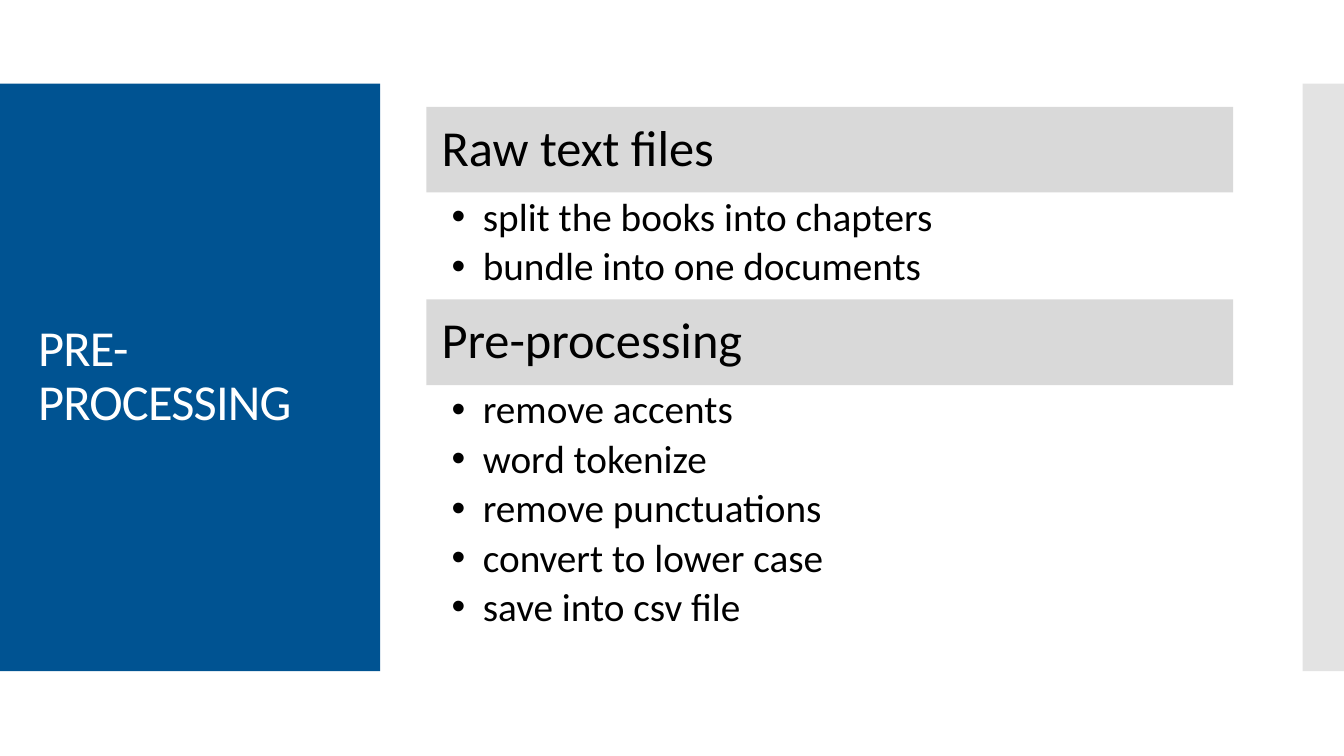
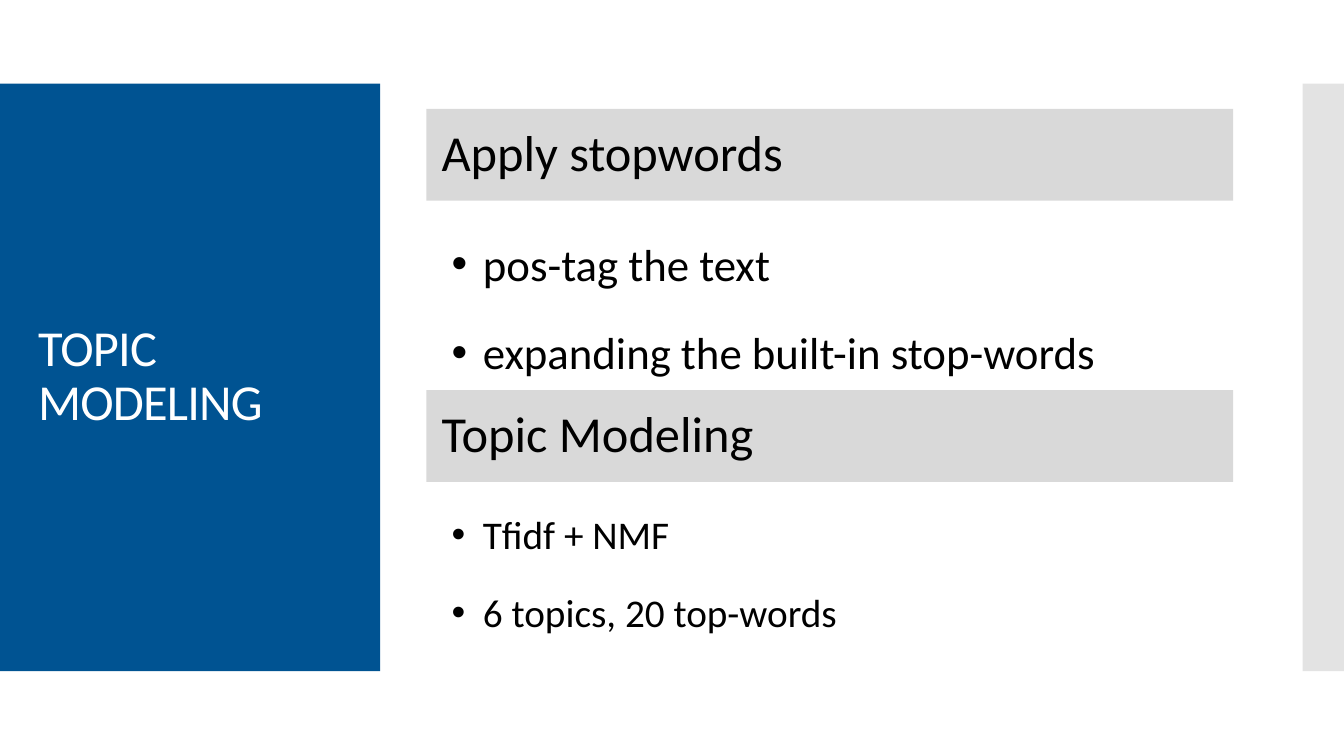
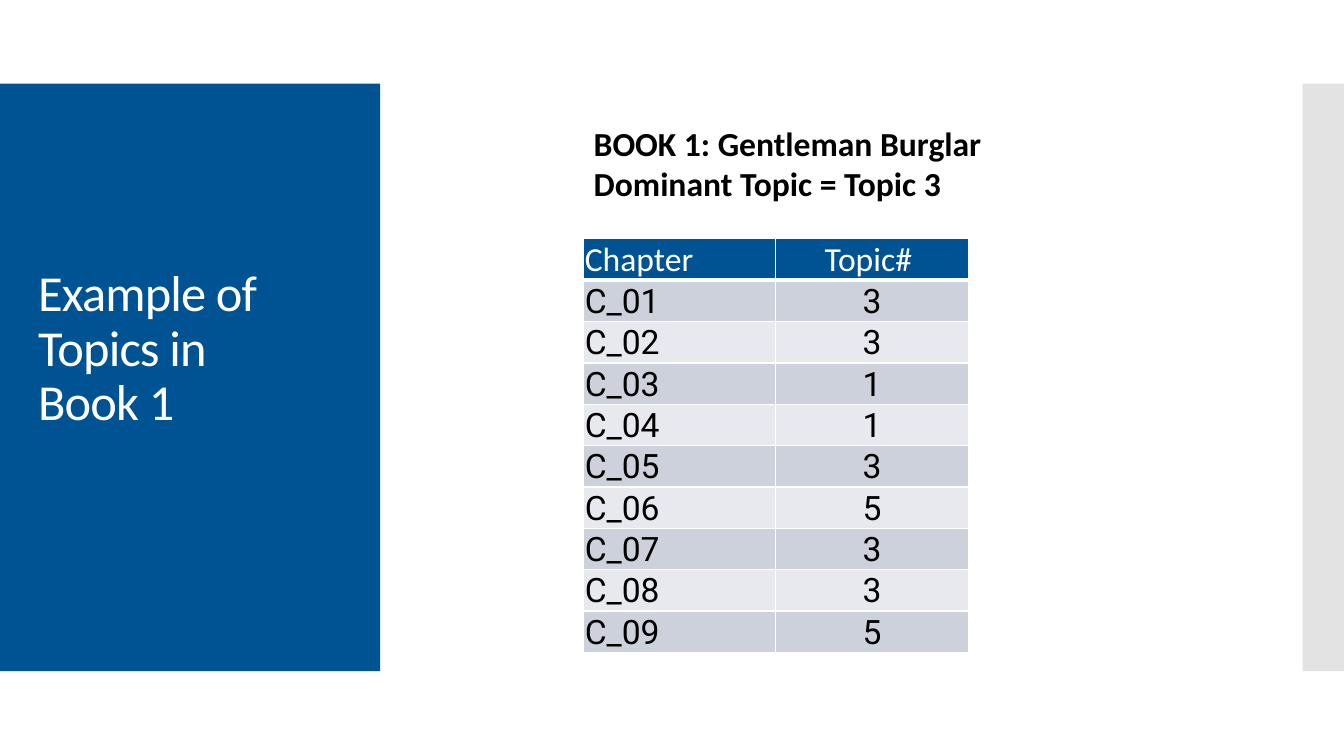
from dataclasses import dataclass

from lxml import etree
from pptx import Presentation
from pptx.dml.color import RGBColor
from pptx.enum import shapes, text
from pptx.oxml import ns
from pptx.util import Inches, Pt


@dataclass(frozen=True)
class Theme:
    blue: str = "005392"
    edge: str = "C8C8C8"
    heading_fill: str = "D9D9D9"
    row_fills: tuple = ("E7E9EE", "CCD1DC")
    white: str = "FFFFFF"
    black: str = "000000"
    font: str = "Calibri"
    table_font: str = "Roboto"
    title_size: int = 36
    heading_size: int = 36
    bullet_size: int = 28
    large_bullet_size: int = 32
    table_size: int = 24


THEME = Theme()
MIDDLE = text.MSO_ANCHOR.MIDDLE
CONTENT_LEFT, CONTENT_WIDTH = 4.23, 8


def set_all(target, values):
    for name, value in values.items():
        setattr(target, name, value)


def add_child(parent, tag, **attributes):
    return etree.SubElement(parent, ns.qn(tag), attributes)


class Deck:
    def __init__(self, theme):
        self.theme = theme
        self.prs = Presentation()
        set_all(self.prs, {"slide_width": Inches(13.33), "slide_height": Inches(7.5)})
        self.slide = None

    def new_slide(self, title, bottom_inset=0.05):
        """Start a slide with its side bands and title."""
        self.slide = self.prs.slides.add_slide(self.prs.slide_layouts[6])
        self.band(0, 0.83, 3.77, 5.83, self.theme.blue)
        self.band(12.92, 0.83, 0.42, 5.83, self.theme.edge, opacity=50)
        box = self.text_box(0.28, 1.23, 3.22, 5.03, (0.1, 0.05, 0.1, bottom_inset))
        box.vertical_anchor = MIDDLE
        self.fill_text(box, [title], self.theme.title_size, self.theme.white,
                       line_spacing=0.9)
        for run in box.paragraphs[0].runs:
            run.font._element.set("spc", "-60")

    def band(self, left, top, width, height, color, opacity=100):
        band = self.slide.shapes.add_shape(
            shapes.MSO_SHAPE.RECTANGLE,
            Inches(left), Inches(top), Inches(width), Inches(height))
        band.shadow.inherit = False
        band.fill.solid()
        band.fill.fore_color.rgb = RGBColor.from_string(color)
        band.line.fill.background()
        if opacity < 100:
            tint = band._element.spPr.find(".//" + ns.qn("a:srgbClr"))
            add_child(tint, "a:alpha", val=str(opacity * 1000))
        return band

    def frame(self, frame, insets):
        sides = ("margin_left", "margin_top", "margin_right", "margin_bottom")
        set_all(frame, dict(zip(sides, map(Inches, insets))))
        frame.word_wrap = True
        return frame

    def text_box(self, left, top, width, height, insets=(0.1, 0.05, 0.1, 0.05)):
        box = self.slide.shapes.add_textbox(
            Inches(left), Inches(top), Inches(width), Inches(height))
        return self.frame(box.text_frame, insets)

    def fill_text(self, frame, lines, size, color, font=None, bold=False,
                  **paragraph_format):
        for index, line in enumerate(lines):
            paragraph = frame.paragraphs[0] if index == 0 else frame.add_paragraph()
            paragraph.text = line
            set_all(paragraph, {"alignment": text.PP_ALIGN.LEFT, **paragraph_format})
            for run in paragraph.runs:
                set_all(run.font, {"name": font or self.theme.font,
                                   "size": Pt(size), "bold": bold})
                run.font.color.rgb = RGBColor.from_string(color)

    def heading(self, wording, top, height):
        bar = self.band(CONTENT_LEFT, top, CONTENT_WIDTH, height, self.theme.heading_fill)
        frame = self.frame(bar.text_frame, (0.15,) * 4)
        frame.vertical_anchor = MIDDLE
        self.fill_text(frame, [wording], self.theme.heading_size, self.theme.black,
                       line_spacing=0.9)

    def bullets(self, items, top, height, size, line_spacing):
        frame = self.text_box(CONTENT_LEFT, top, CONTENT_WIDTH, height,
                              (0.25, 0.05, 0.25, 0.05))
        self.fill_text(frame, items, size, self.theme.black, level=1,
                       line_spacing=line_spacing, space_after=Pt(size * 0.18))
        indent = Inches(0.31)
        for paragraph in frame.paragraphs:
            properties = paragraph._p.get_or_add_pPr()
            properties.set("marL", str(indent))
            properties.set("indent", str(-indent))
            add_child(properties, "a:buFont", typeface="Arial")
            add_child(properties, "a:buChar", char="•")

    def sections(self, top, heading_height, line_spacing, sections):
        """Stack headings and their bullets; each section gives its gap and body height."""
        for wording, items, gap, body_height, size in sections:
            self.heading(wording, top, heading_height)
            top += heading_height + gap
            self.bullets(items, top, body_height, size, line_spacing)
            top += body_height

    def table(self, rows, left, top, widths, height):
        table = self.slide.shapes.add_table(
            len(rows), len(widths), Inches(left), Inches(top),
            Inches(sum(widths)), Inches(height)).table
        for column, width in zip(table.columns, widths):
            column.width = Inches(width)
        for r, row in enumerate(rows):
            for c, wording in enumerate(row):
                self.cell(table.cell(r, c), wording, r, centred=c > 0)

    def cell(self, cell, wording, row, centred):
        theme = self.theme
        header = row == 0
        insets = ("margin_left", "margin_top", "margin_right")
        set_all(cell, {**dict.fromkeys(insets, Inches(0.01)), "margin_bottom": 0,
                       "vertical_anchor": text.MSO_ANCHOR.BOTTOM})
        align = text.PP_ALIGN.CENTER if centred else text.PP_ALIGN.LEFT
        self.fill_text(cell.text_frame, [wording], theme.table_size,
                       theme.white if header else theme.black,
                       theme.font if header else theme.table_font, alignment=align)
        cell.fill.solid()
        fill = theme.blue if header else theme.row_fills[row % 2]
        cell.fill.fore_color.rgb = RGBColor.from_string(fill)
        properties = cell._tc.get_or_add_tcPr()
        borders = {"L": 1, "R": 1, "T": 3 if row == 1 else 1, "B": 3 if header else 1}
        for position, (side, width) in enumerate(borders.items()):
            line = add_child(properties, f"a:ln{side}", w=str(Pt(width)))
            add_child(add_child(line, "a:solidFill"), "a:srgbClr", val=theme.white)
            properties.insert(position, line)


def main():
    deck = Deck(THEME)
    regular, large = THEME.bullet_size, THEME.large_bullet_size

    deck.new_slide("PRE-PROCESSING")
    deck.sections(1.06, 0.85, 0.9, [
        ("Raw text files",
         ["split the books into chapters", "bundle into one documents"],
         0, 1.06, regular),
        ("Pre-processing",
         ["remove accents", "word tokenize", "remove punctuations",
          "convert to lower case", "save into csv file"],
         0, 2.61, regular),
    ])

    deck.new_slide("TOPIC MODELING")
    deck.sections(1.08, 0.91, 1.5, [
        ("Apply stopwords",
         ["pos-tag the text", "expanding the built-in stop-words"],
         0.04, 1.84, large),
        ("Topic Modeling", ["Tfidf + NMF", "6 topics, 20 top-words"],
         0, 1.58, regular),
    ])

    deck.new_slide("Example of Topics in \vBook 1", bottom_inset=0.6)
    chapter_topics = [3, 3, 1, 1, 3, 5, 3, 3, 5]
    rows = [("Chapter", "Topic# ")]
    rows += [(f"C_{number:02}", str(topic))
             for number, topic in enumerate(chapter_topics, 1)]
    deck.table(rows, 5.79, 2.37, (1.9, 1.92), 4.07)
    caption = deck.text_box(5.79, 1.17, 4.67, 0.91)
    deck.fill_text(caption, ["BOOK 1: Gentleman Burglar", "Dominant Topic = Topic 3"],
                   THEME.table_size, THEME.black, bold=True)

    deck.prs.save("out.pptx")


if __name__ == "__main__":
    main()
